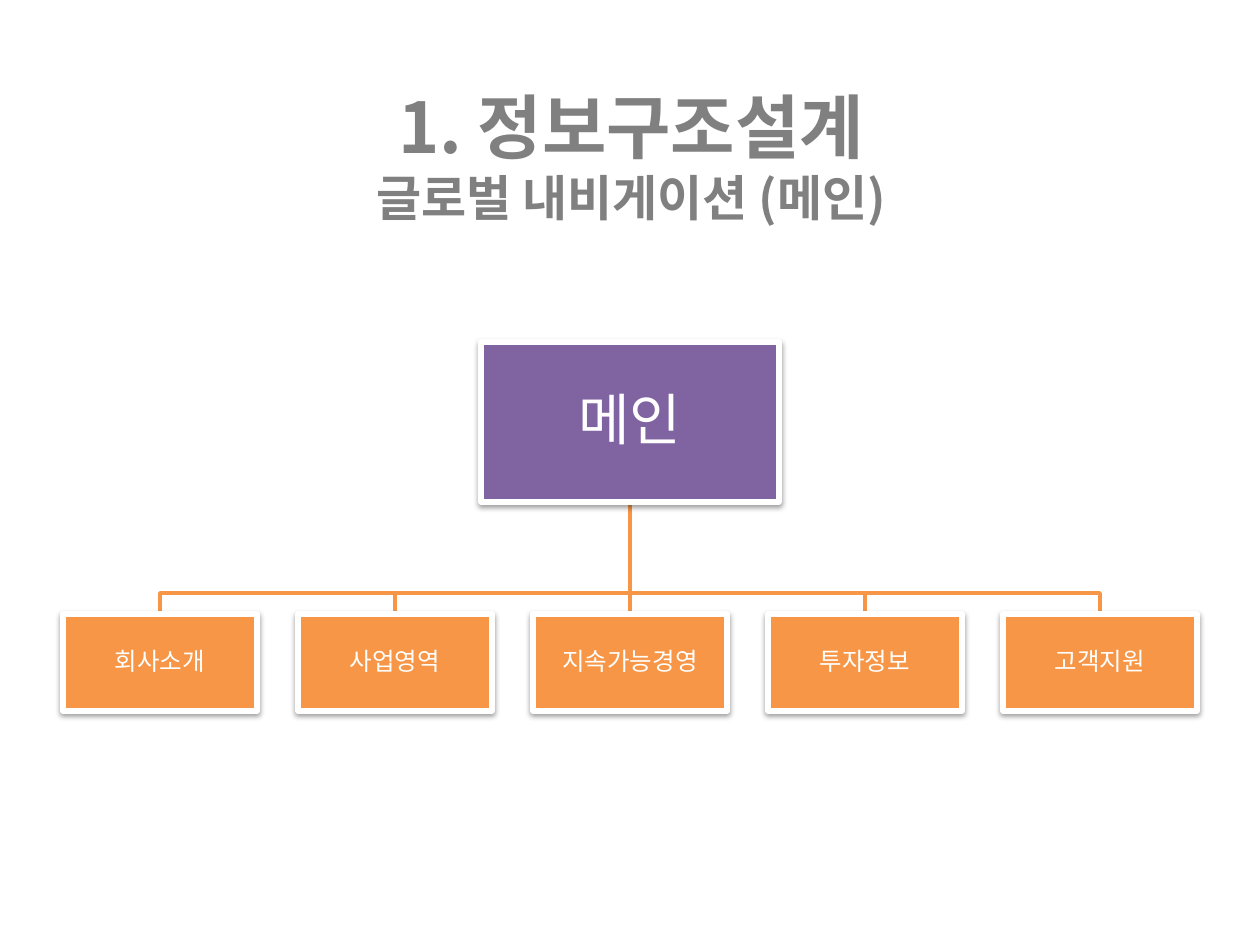
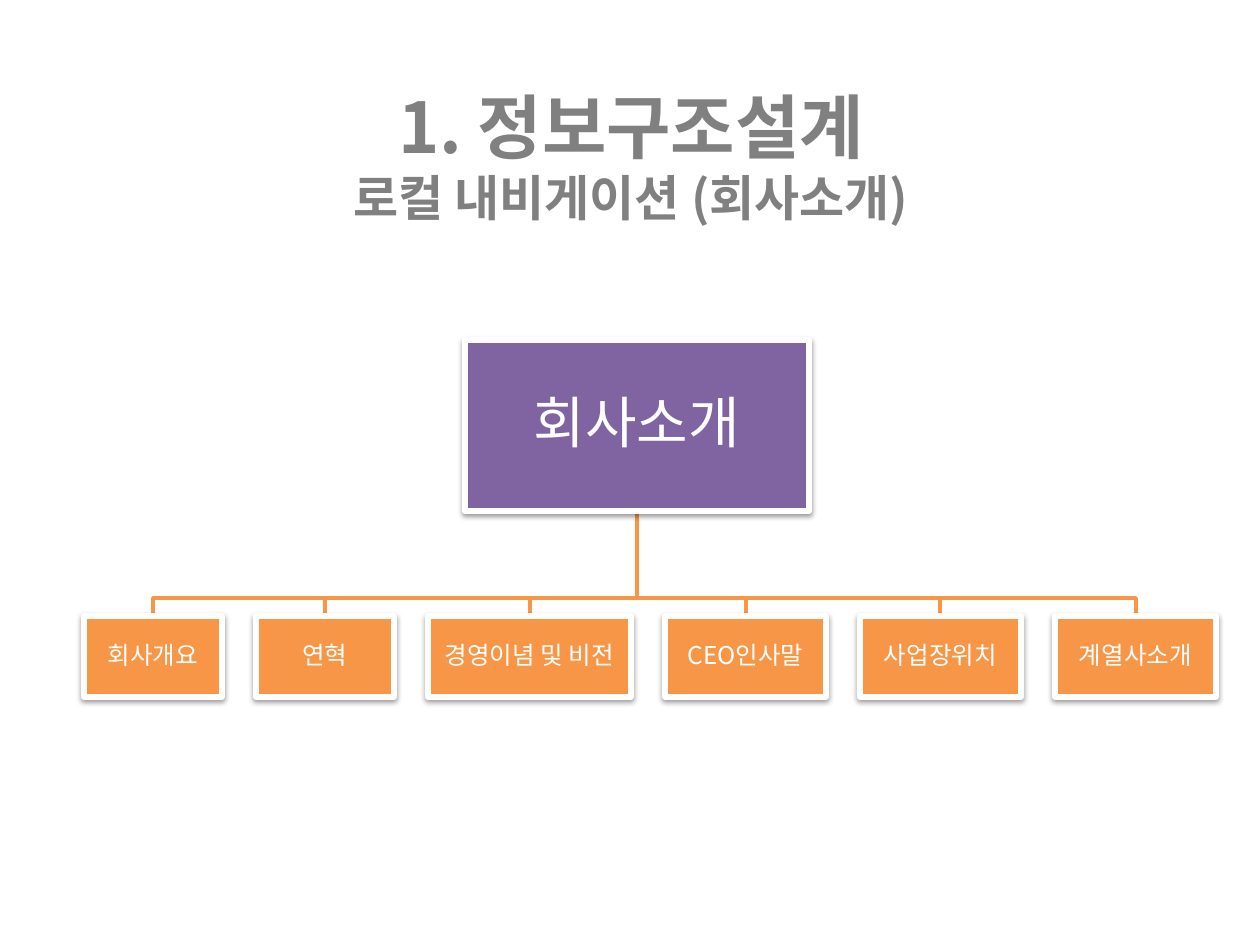
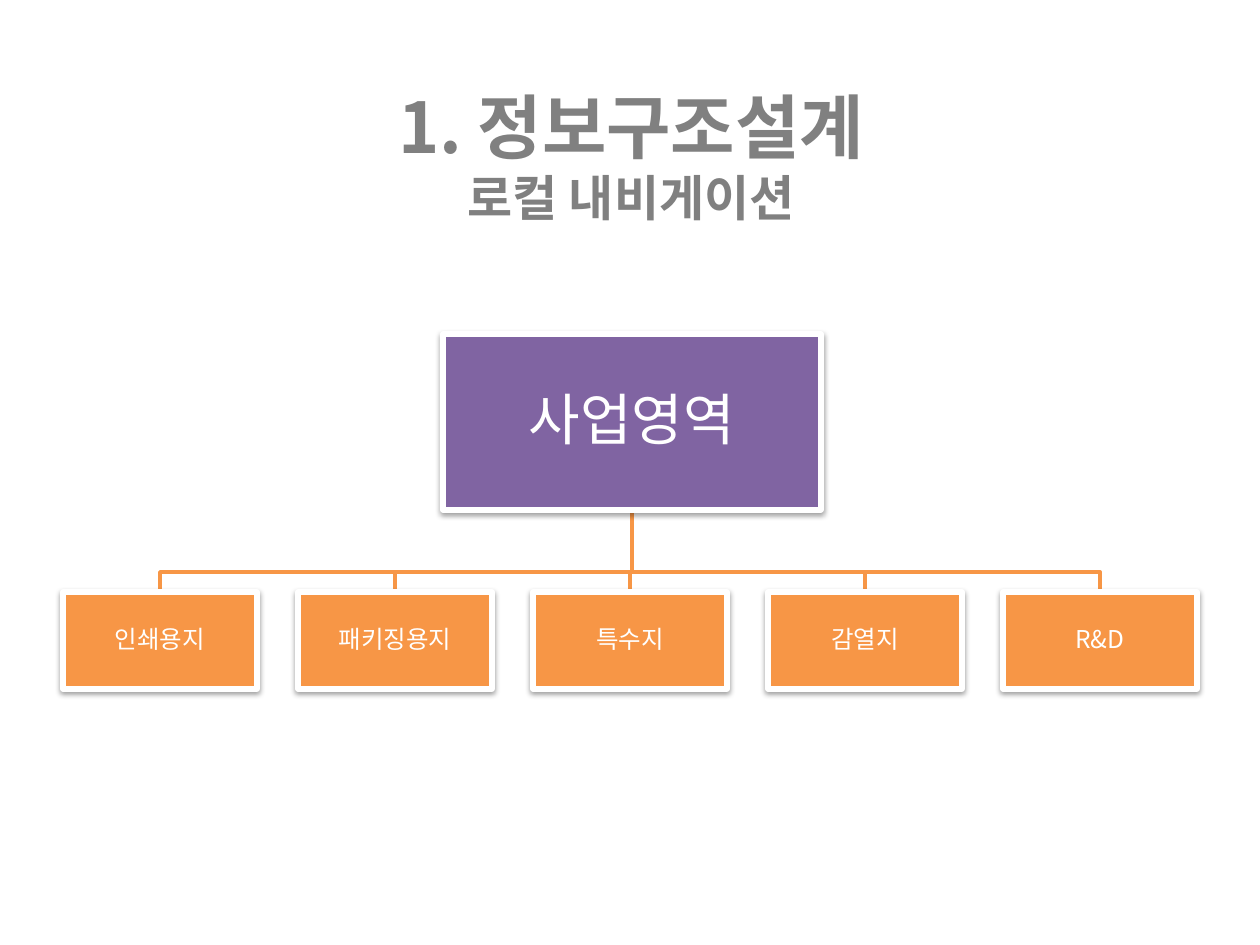
from lxml import etree
from pptx import Presentation
from pptx import util as u
from pptx.dml.color import RGBColor
from pptx.enum import shapes, text
from pptx.oxml import parse_xml
from pptx.oxml.ns import nsdecls, qn

SCALE = 914400 / 126  # EMU in one px
FONT = "Noto Sans CJK KR"
GRAY, PURPLE, ORANGE, WHITE = "808080", "8064A2", "F79646", "FFFFFF"
TITLE_BOX = (64, 76, 1134, 158)
TITLE = "1. 정보구조설계"

# Each site map: root box, height of the bus line, and the row of child boxes
SITE_MAPS = [
    dict(subtitle="글로벌 내비게이션 (메인)", root="메인",
         root_box=(481, 342, 298, 160), bus=593,
         row=(63, 614, 97), gap=41, widths=[194] * 5,
         children=["회사소개", "사업영역", "지속가능경영", "투자정보", "고객지원"]),
    dict(subtitle="로컬 내비게이션 (회사소개)", root="회사소개",
         root_box=(465, 340, 344, 171), bus=598,
         row=(84, 616, 81), gap=34, widths=[138, 138, 203, 161, 161, 161],
         children=["회사개요", "연혁", "경영이념 및 비전", "CEO인사말",
                   "사업장위치", "계열사소개"]),
    dict(subtitle="로컬 내비게이션", root="사업영역",
         root_box=(443, 334, 378, 176), bus=572,
         row=(63, 592, 97), gap=41, widths=[194] * 5,
         children=["인쇄용지", "패키징용지", "특수지", "감열지", "R&D"]),
]


def px(length):
    return u.Emu(round(length * SCALE))


def color(value):
    return RGBColor.from_string(value)


def set_font(paragraph, size, value, bold=False):
    font = paragraph.font
    font.name, font.size, font.bold = FONT, u.Pt(size), bold
    font.color.rgb = color(value)
    # East Asian typeface
    defaults = paragraph._p.pPr.find(qn("a:defRPr"))
    etree.SubElement(defaults, qn("a:ea")).set("typeface", FONT)
    paragraph.alignment = text.PP_ALIGN.CENTER


def add_shadow(shape):
    shape._element.spPr.append(parse_xml(
        f'<a:effectLst {nsdecls("a")}>'
        '<a:outerShdw blurRad="40000" dist="20000" dir="5400000" rotWithShape="0">'
        '<a:srgbClr val="000000"><a:alpha val="38000"/></a:srgbClr>'
        '</a:outerShdw></a:effectLst>'))


def set_title(page, subtitle):
    title = page.shapes.title
    title.left, title.top, title.width, title.height = map(px, TITLE_BOX)
    frame = title.text_frame
    frame.vertical_anchor = text.MSO_ANCHOR.MIDDLE
    para = frame.paragraphs[0]
    set_font(para, 40, GRAY, bold=True)
    para.add_run().text = TITLE
    para.add_line_break()
    span = para.add_run()
    span.text = subtitle
    span.font.size = u.Pt(28)


def add_node(page, label, box, fill, size, inset):
    node = page.shapes.add_shape(shapes.MSO_SHAPE.RECTANGLE, *map(px, box))
    node.fill.solid()
    node.fill.fore_color.rgb = color(fill)
    node.line.color.rgb = color(WHITE)
    node.line.width = u.Pt(3)
    add_shadow(node)
    frame = node.text_frame
    frame.word_wrap = True
    frame.vertical_anchor = text.MSO_ANCHOR.MIDDLE
    frame.margin_left = frame.margin_right = px(inset)
    frame.margin_top = frame.margin_bottom = px(inset)
    para = frame.paragraphs[0]
    para.text = label
    para.line_spacing = 0.9
    para.space_after = u.Pt(round(size * 0.35))
    set_font(para, size, WHITE)
    return node


def add_branch(page, root, root_box, child, child_box, bus):
    start_x, start_y = root_box[0] + root_box[2] / 2, root_box[1] + root_box[3]
    end_x, end_y = child_box[0] + child_box[2] / 2, child_box[1]
    if start_x == end_x:
        branch = page.shapes.add_connector(
            shapes.MSO_CONNECTOR.STRAIGHT, *map(px, (start_x, start_y, end_x, end_y)))
        branch.begin_connect(root, 2)
        branch.end_connect(child, 0)
        etree.SubElement(branch._element.spPr, qn("a:effectLst"))
    else:
        outline = page.shapes.build_freeform(start_x, start_y, scale=SCALE)
        outline.add_line_segments(
            [(start_x, bus), (end_x, bus), (end_x, end_y)], close=False)
        branch = outline.convert_to_shape()
        branch.fill.background()
        branch.shadow.inherit = False
    branch.line.color.rgb = color(ORANGE)
    branch.line.width = u.Pt(2)
    root._element.addprevious(branch._element)  # keep lines behind the boxes


def add_site_map(page, site):
    root = add_node(page, site["root"], site["root_box"], PURPLE, 32, 2)
    left, top, height = site["row"]
    for label, width in zip(site["children"], site["widths"]):
        child_box = (left, top, width, height)
        child = add_node(page, label, child_box, ORANGE, 14, 1)
        add_branch(page, root, site["root_box"], child, child_box, site["bus"])
        left += width + site["gap"]


def main():
    deck = Presentation()
    deck.slide_width, deck.slide_height = u.Inches(10), u.Inches(7.5)
    for site in SITE_MAPS:
        page = deck.slides.add_slide(deck.slide_layouts[5])  # title only
        set_title(page, site["subtitle"])
        add_site_map(page, site)
    deck.save("out.pptx")


if __name__ == "__main__":
    main()
